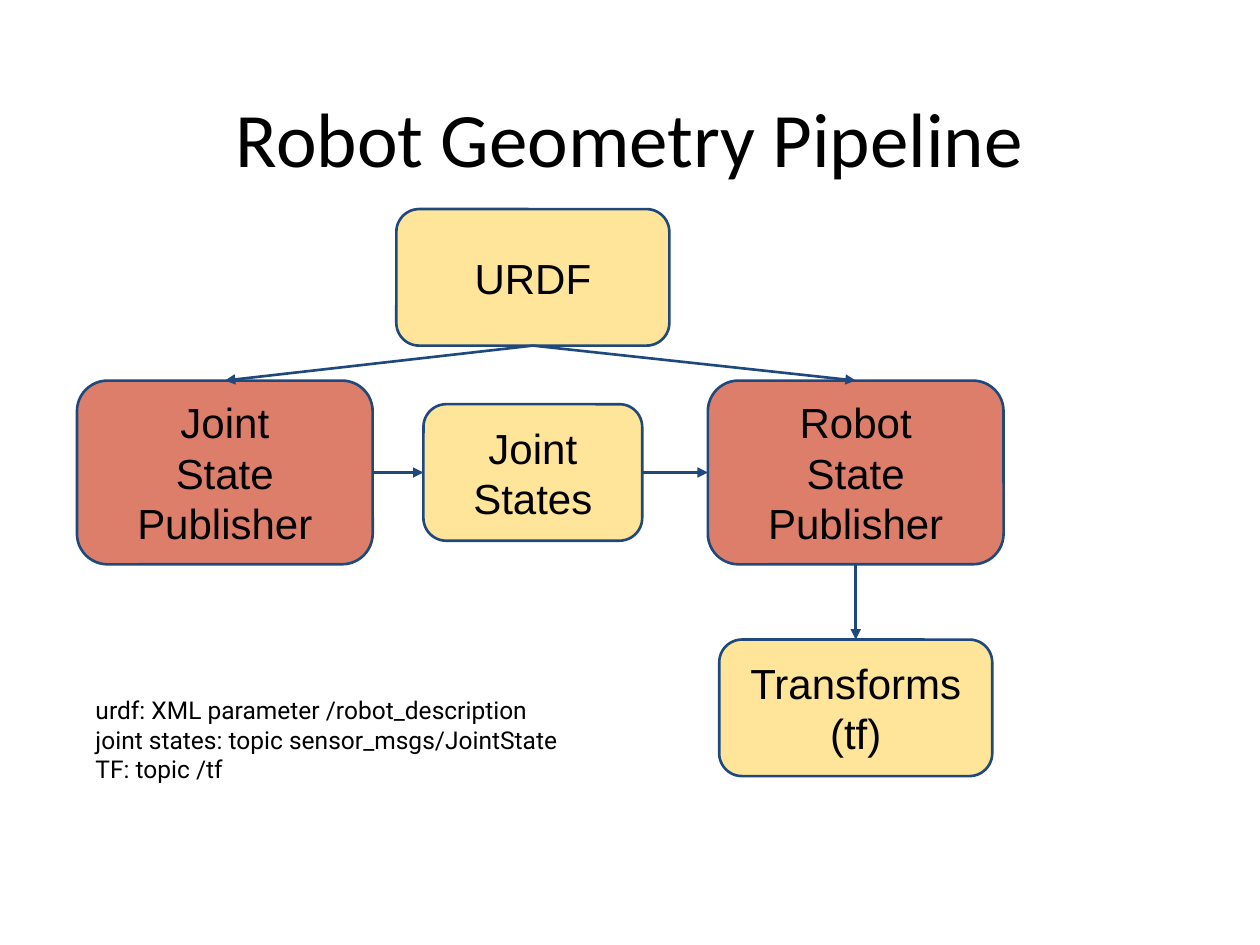
from lxml.etree import SubElement
from pptx import Presentation
from pptx.dml.color import RGBColor
from pptx.enum.shapes import MSO_CONNECTOR as CONNECTOR, MSO_SHAPE as SHAPE
from pptx.enum.text import MSO_ANCHOR as ANCHOR, MSO_AUTO_SIZE as AUTO_SIZE, PP_ALIGN as ALIGN
from pptx.oxml.ns import qn
from pptx.util import Pt

COLORS = {"node": "DD7E6B", "data": "FFE599", "line": "1F497D", "text": "000000"}
TOP, LEFT, BOTTOM, RIGHT = range(4)
ROW_Y = 270
LEFT_X, MIDDLE_X, RIGHT_X = 128.5, 304.5, 489
NODE_SIZE = (169, 105)
DATA_SIZE = (156, 78)


def color(name):
    return RGBColor.from_string(COLORS[name])


def set_text(sp, lines, font, size, align, anchor, spacing=None):
    tf = sp.text_frame
    tf.word_wrap = True
    tf.auto_size = AUTO_SIZE.NONE
    tf.vertical_anchor = anchor
    tf.margin_left = tf.margin_right = tf.margin_top = tf.margin_bottom = Pt(7.2)
    for i, line in enumerate(lines):
        p = tf.add_paragraph() if i else tf.paragraphs[0]
        p.text = line
        p.alignment = align
        p.line_spacing = spacing
        p.font.name = font
        p.font.size = Pt(size)
        p.font.color.rgb = color("text")


def add_title(slide, text):
    sp = slide.shapes.title
    sp.left, sp.top, sp.width, sp.height = Pt(36), Pt(21.6), Pt(648), Pt(90)
    set_text(sp, [text], "Calibri", 44, ALIGN.CENTER, ANCHOR.BOTTOM)


def add_box(slide, lines, fill, center, size):
    (x, y), (w, h) = center, size
    sp = slide.shapes.add_shape(SHAPE.ROUNDED_RECTANGLE,
                                Pt(x - w / 2), Pt(y - h / 2), Pt(w), Pt(h))
    sp.shadow.inherit = False
    sp.fill.solid()
    sp.fill.fore_color.rgb = color(fill)
    sp.line.color.rgb = color("line")
    sp.line.width = Pt(1.5)
    set_text(sp, lines, "Arial", 24, ALIGN.CENTER, ANCHOR.MIDDLE, Pt(28.8))
    return sp


def add_arrow(slide, start, start_side, end, end_side):
    line = slide.shapes.add_connector(CONNECTOR.STRAIGHT, 0, 0, 0, 0)
    line.begin_connect(start, start_side)
    line.end_connect(end, end_side)
    line.line.color.rgb = color("line")
    line.line.width = Pt(1.5)
    SubElement(line.line._get_or_add_ln(), qn("a:tailEnd"), type="triangle")
    SubElement(line._element.spPr, qn("a:effectLst"))


def add_notes(slide, lines):
    sp = slide.shapes.add_textbox(Pt(47.5), Pt(390), Pt(324), Pt(109))
    set_text(sp, lines, "Roboto", 14, ALIGN.LEFT, ANCHOR.TOP, Pt(16.8))


def main():
    prs = Presentation()
    prs.slide_width, prs.slide_height = Pt(720), Pt(540)
    slide = prs.slides.add_slide(prs.slide_layouts[5])
    add_title(slide, "Robot Geometry Pipeline")

    joint_publisher = add_box(slide, ["Joint", "State", "Publisher"], "node",
                              (LEFT_X, ROW_Y), NODE_SIZE)
    robot_publisher = add_box(slide, ["Robot", "State", "Publisher"], "node",
                              (RIGHT_X, ROW_Y), NODE_SIZE)
    joint_states = add_box(slide, ["Joint", "States"], "data",
                           (MIDDLE_X, ROW_Y), (125, 78))
    transforms = add_box(slide, ["Transforms", "(tf)"], "data",
                         (RIGHT_X, 404.5), DATA_SIZE)
    urdf = add_box(slide, ["URDF"], "data", (MIDDLE_X, 158.5), DATA_SIZE)

    add_arrow(slide, urdf, BOTTOM, joint_publisher, TOP)
    add_arrow(slide, urdf, BOTTOM, robot_publisher, TOP)
    add_arrow(slide, joint_publisher, RIGHT, joint_states, LEFT)
    add_arrow(slide, joint_states, RIGHT, robot_publisher, LEFT)
    add_arrow(slide, robot_publisher, BOTTOM, transforms, TOP)

    add_notes(slide, ["urdf: XML parameter /robot_description",
                      "joint states: topic sensor_msgs/JointState",
                      "TF: topic /tf"])
    prs.save("out.pptx")


if __name__ == "__main__":
    main()
